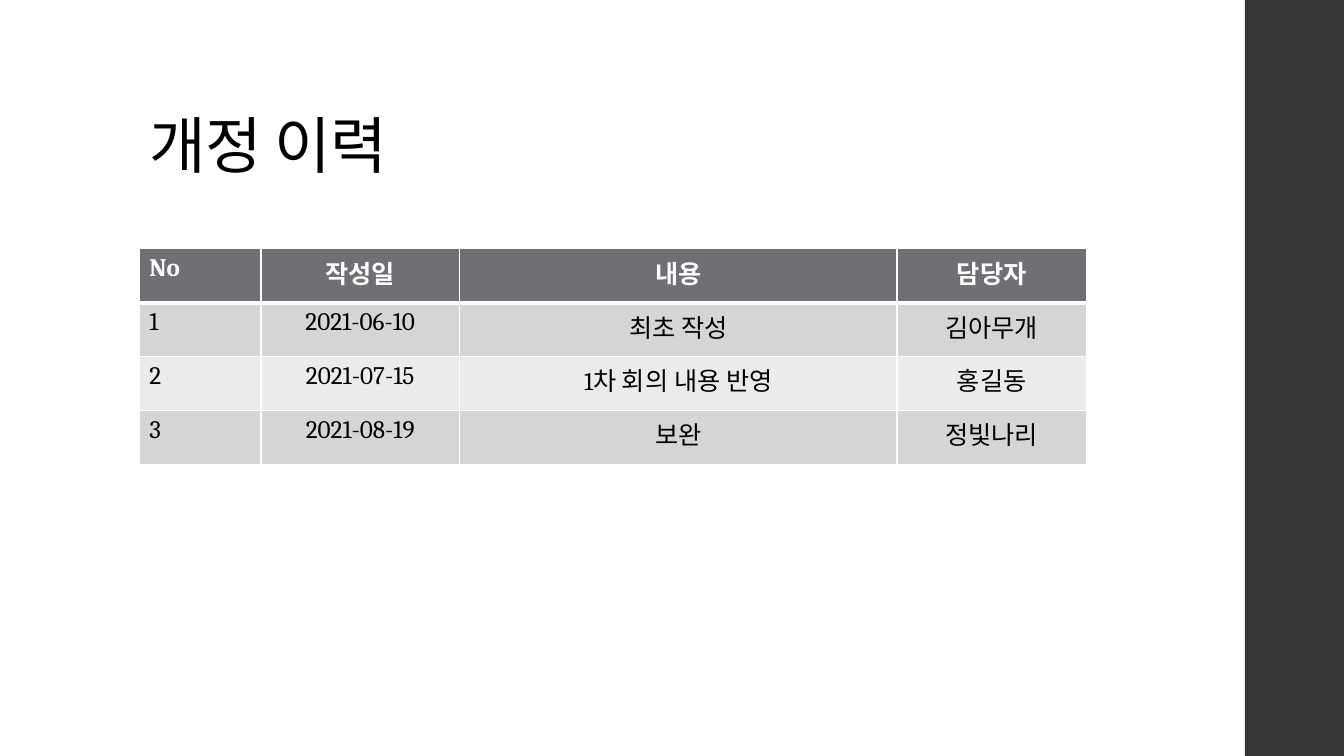
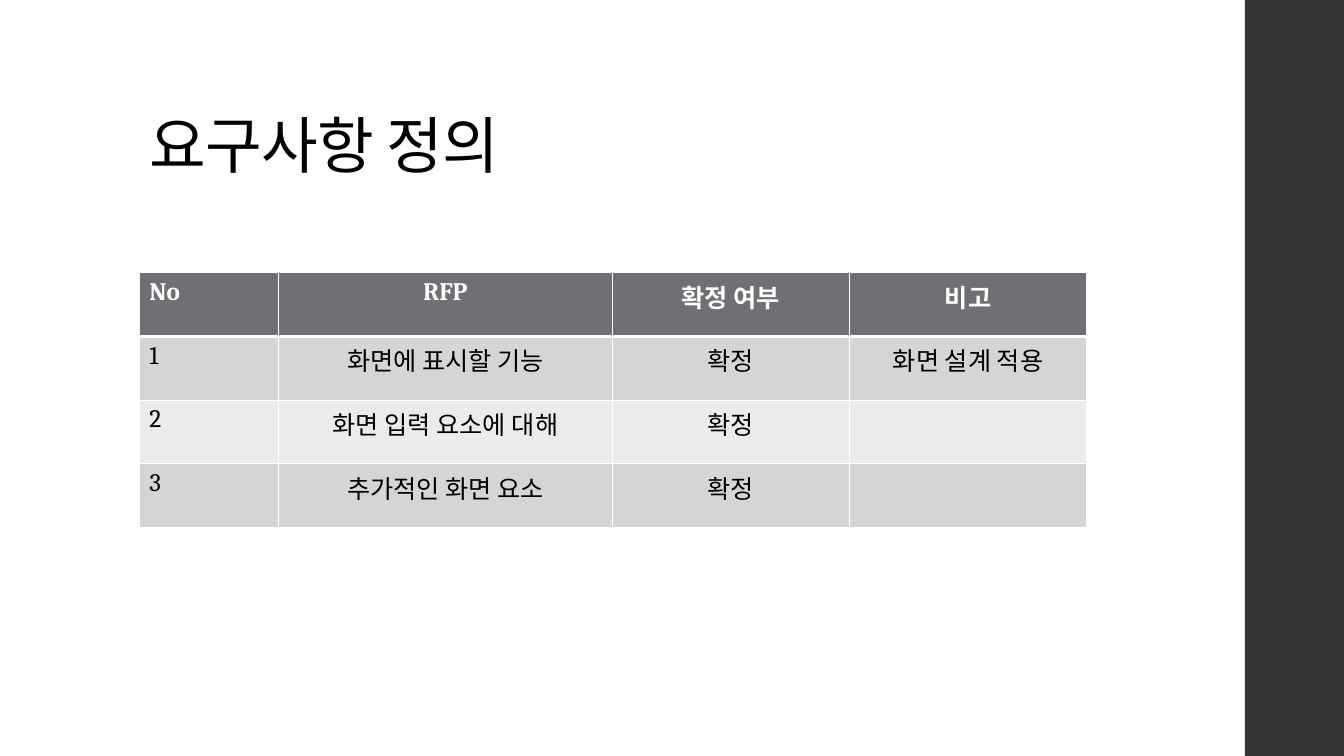
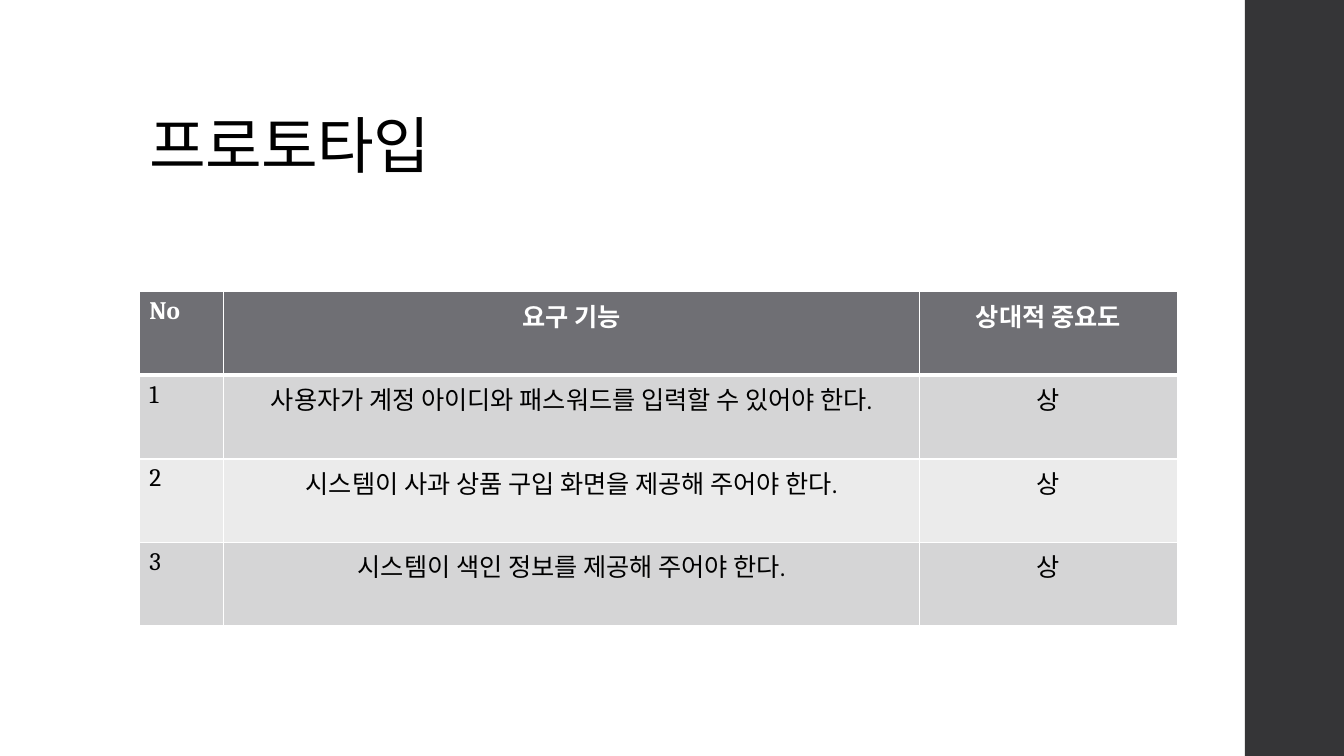
"""Builds three table slides for a requirements document."""
from lxml.etree import SubElement
from pptx import Presentation
from pptx.dml.color import RGBColor
from pptx.enum.shapes import MSO_SHAPE
from pptx.enum.text import MSO_ANCHOR, PP_ALIGN
from pptx.oxml.ns import qn
from pptx.util import Pt

WHITE = RGBColor(0xFF, 0xFF, 0xFF)
BLACK = RGBColor(0x00, 0x00, 0x00)
CHARCOAL = RGBColor(0x35, 0x35, 0x37)
HEADER_GREY = RGBColor(0x6F, 0x6F, 0x74)
BAND_GREYS = (RGBColor(0xD5, 0xD5, 0xD6), RGBColor(0xEB, 0xEB, 0xEB))
FONT = "Cambria"
SLIDE_W, SLIDE_H = 960, 540
LEFT = 99.4
BAND_LEFT = 889.2

PAGES = [
    {
        "title": "개정 이력",
        "top": 177.8,
        "row_height": 38.5,
        "columns": (87, 141.8, 312.5, 135.4),
        "rows": [
            ("No", "작성일", "내용", "담당자"),
            ("1", "2021-06-10", "최초 작성", "김아무개"),
            ("2", "2021-07-15", "1차 회의 내용 반영", "홍길동"),
            ("3", "2021-08-19", "보완", "정빛나리"),
        ],
    },
    {
        "title": "요구사항 정의",
        "top": 194.8,
        "row_height": 45.5,
        "columns": (99.5, 238.5, 169.4, 169.4),
        "rows": [
            ("No", "RFP", "확정 여부", "비고"),
            ("1", "화면에 표시할 기능", "확정", "화면 설계 적용"),
            ("2", "화면 입력 요소에 대해", "확정", ""),
            ("3", "추가적인 화면 요소", "확정", ""),
        ],
    },
    {
        "title": "프로토타입",
        "top": 208.4,
        "row_height": 59.7,
        "columns": (60.3, 497, 184.2),
        "rows": [
            ("No", "요구 기능", "상대적 중요도"),
            ("1", "사용자가 계정 아이디와 패스워드를 입력할 수 있어야 한다.", "상"),
            ("2", "시스템이 사과 상품 구입 화면을 제공해 주어야 한다.", "상"),
            ("3", "시스템이 색인 정보를 제공해 주어야 한다.", "상"),
        ],
    },
]


def style_font(paragraph, size, color, bold=False):
    font = paragraph.font
    font.name, font.size, font.bold = FONT, Pt(size), bold
    font.color.rgb = color


def add_side_band(slide):
    band = slide.shapes.add_shape(
        MSO_SHAPE.RECTANGLE, Pt(BAND_LEFT), 0, Pt(SLIDE_W - BAND_LEFT), Pt(SLIDE_H))
    band.shadow.inherit = False
    band.fill.solid()
    band.fill.fore_color.rgb = CHARCOAL
    band.line.fill.background()


def add_title(slide, text):
    frame = slide.shapes.add_textbox(Pt(LEFT), Pt(28.8), Pt(763.2), Pt(104.4)).text_frame
    frame.word_wrap = True
    frame.vertical_anchor = MSO_ANCHOR.BOTTOM
    title = frame.paragraphs[0]
    title.text = text
    title.line_spacing = 0.9
    style_font(title, 44, BLACK)
    title._p.get_or_add_pPr().get_or_add_defRPr().set("spc", "-50")


def set_borders(cell, widths):
    properties = cell._tc.get_or_add_tcPr()
    for side, width in widths.items():
        line = SubElement(properties, qn(f"a:ln{side}"), w=str(Pt(width)))
        SubElement(SubElement(line, qn("a:solidFill")), qn("a:srgbClr"), val=str(WHITE))


def style_cell(cell, text, row, column):
    is_header = row == 0
    set_borders(cell, {"L": 1, "R": 1, "T": 3 if row == 1 else 1, "B": 3 if is_header else 1})
    cell.fill.solid()
    cell.fill.fore_color.rgb = HEADER_GREY if is_header else BAND_GREYS[(row - 1) % 2]
    paragraph = cell.text_frame.paragraphs[0]
    if text:
        paragraph.text = text
    if column:
        paragraph.alignment = PP_ALIGN.CENTER
    style_font(paragraph, 18, WHITE if is_header else BLACK, is_header)


def add_grid(slide, page):
    rows, columns, height = page["rows"], page["columns"], page["row_height"]
    table = slide.shapes.add_table(
        len(rows), len(columns), Pt(LEFT), Pt(page["top"]),
        Pt(sum(columns)), Pt(height * len(rows))).table
    for column, width in zip(table.columns, columns):
        column.width = Pt(width)
    for r, texts in enumerate(rows):
        table.rows[r].height = Pt(height)
        for c, text in enumerate(texts):
            style_cell(table.cell(r, c), text, r, c)


def main():
    deck = Presentation()
    deck.slide_width, deck.slide_height = Pt(SLIDE_W), Pt(SLIDE_H)
    for page in PAGES:
        slide = deck.slides.add_slide(deck.slide_layouts[6])
        add_side_band(slide)
        add_title(slide, page["title"])
        add_grid(slide, page)
    deck.save("out.pptx")


if __name__ == "__main__":
    main()
